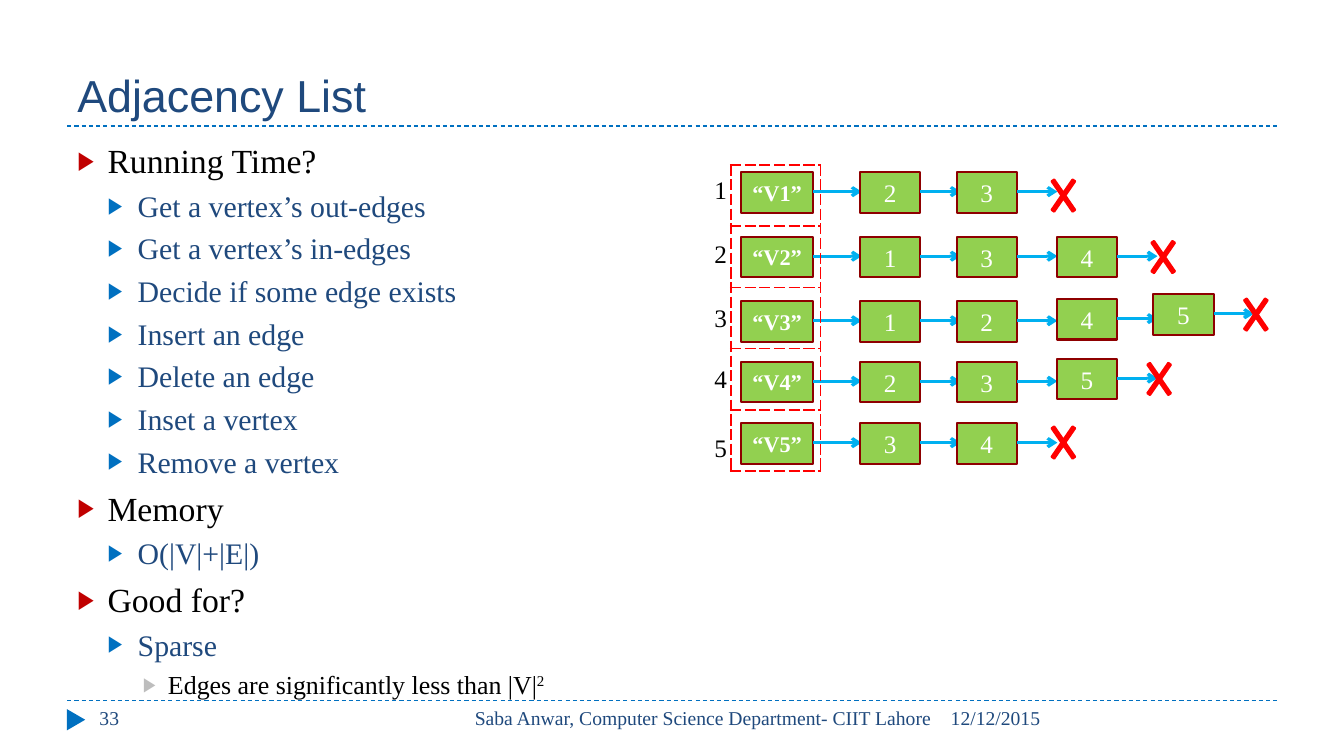
"""Build the adjacency list slide: an outline beside linked chains of vertices."""
from lxml import etree
from pptx import Presentation
from pptx.dml.color import RGBColor
from pptx.enum.dml import MSO_LINE
from pptx.enum.shapes import MSO_CONNECTOR, MSO_SHAPE
from pptx.enum.text import MSO_ANCHOR, MSO_AUTO_SIZE, PP_ALIGN
from pptx.oxml.ns import qn
from pptx.util import Pt

NAVY = RGBColor(0x1F, 0x49, 0x7D)
BLUE = RGBColor(0x00, 0x70, 0xC0)
SKY = RGBColor(0x00, 0xB0, 0xF0)
GREEN = RGBColor(0x92, 0xD0, 0x50)
MAROON = RGBColor(0x8E, 0x00, 0x00)
RED = RGBColor(0xFF, 0x00, 0x00)
CRIMSON = RGBColor(0xC0, 0x00, 0x00)
GRAY = RGBColor(0xBD, 0xBD, 0xBD)
BLACK = RGBColor(0x00, 0x00, 0x00)
WHITE = RGBColor(0xFF, 0xFF, 0xFF)
SERIF, SANS = "Times New Roman", "Arial"
LEFT, CENTER, RIGHT = PP_ALIGN.LEFT, PP_ALIGN.CENTER, PP_ALIGN.RIGHT
TOP, MIDDLE, BOTTOM = MSO_ANCHOR.TOP, MSO_ANCHOR.MIDDLE, MSO_ANCHOR.BOTTOM
RECTANGLE, TRIANGLE = MSO_SHAPE.RECTANGLE, MSO_SHAPE.ISOSCELES_TRIANGLE
MULTIPLY, STRAIGHT, DASH = MSO_SHAPE.MATH_MULTIPLY, MSO_CONNECTOR.STRAIGHT, MSO_LINE.DASH

TITLE = "Adjacency List"
OUTLINE = [
    (0, "Running Time?"),
    (1, "Get a vertex’s out-edges"),
    (1, "Get a vertex’s in-edges"),
    (1, "Decide if some edge exists"),
    (1, "Insert an edge"),
    (1, "Delete an edge"),
    (1, "Inset a vertex"),
    (1, "Remove a vertex"),
    (0, "Memory"),
    (1, "O(|V|+|E|)"),
    (0, "Good for?"),
    (1, "Sparse"),
    (2, "Edges are significantly less than |V|"),
]
EXPONENT = "2"
LEVELS = [
    {"size": 24.1, "color": BLACK, "bullet": CRIMSON, "margin": 21.6, "indent": -21.6, "before": 6},
    {"size": 21.3, "color": NAVY, "bullet": BLUE, "margin": 43.2, "indent": -21.6, "before": 4.9},
    {"size": 18.5, "color": BLACK, "bullet": GRAY, "margin": 64.8, "indent": -18, "before": 4.9},
]
FOOTERS = [
    ("33", 64, 208, LEFT),
    ("Saba Anwar, Computer Science Department- CIIT Lahore", 304.5, 368, RIGHT),
    ("12/12/2015", 672, 240, LEFT),
]
CHAINS = [
    {"top": 123.1, "label": 118.1, "nodes": [("2", 0), ("3", 0)], "cross": (745.2, 118.8)},
    {"top": 169.2, "label": 164.2, "nodes": [("1", 0), ("3", 0), ("4", 0)], "cross": (816.5, 162.7)},
    {"top": 215.3, "label": 210.2, "nodes": [("1", 0), ("2", 0), ("4", -1.5), ("5", -5)],
     "cross": (882.7, 203.8)},
    {"top": 258.5, "label": 253.4, "nodes": [("2", 0), ("3", 0), ("5", -2.2)], "cross": (813.6, 249.8)},
    {"top": 302.4, "label": 302.4, "nodes": [("3", 0), ("4", 0)], "cross": (745.2, 295.2)},
]
HEAD_LEFT, HEAD_WIDTH, HEAD_ARROW = 529.2, 51.8, 34.5
NODE_LEFTS, NODE_WIDTH, NODE_ARROW = [614.2, 683.3, 754.8, 823.7], 43.2, 28.8
BOX_HEIGHT, ARROW_DROP = 28.8, 13.8
FRAME = (522, 118.1, 64.1, 218.2)


def points(*lengths):
    return [Pt(length) for length in lengths]


def style_font(font, **values):
    color = values.pop("color")
    for name, value in values.items():
        setattr(font, name, value)
    font.color.rgb = color


def write(shape, text, size, color, align, anchor, name=SERIF, bold=False, wrap=True):
    frame = shape.text_frame
    frame.word_wrap, frame.vertical_anchor = wrap, anchor
    paragraph = frame.paragraphs[0]
    paragraph.text, paragraph.alignment = text, align
    style_font(paragraph.font, name=name, size=Pt(size), bold=bold, color=color)


def place(shape, *box):
    for side, value in zip(("left", "top", "width", "height"), points(*box)):
        setattr(shape, side, value)


def add_line(slide, start, end, color, width):
    line = slide.shapes.add_connector(STRAIGHT, *points(*start, *end))
    line.line.color.rgb, line.line.width = color, Pt(width)
    etree.SubElement(line._element.spPr, qn("a:effectLst"))
    return line


def add_figure(slide, kind, box, fill, outline=None):
    figure = slide.shapes.add_shape(kind, *points(*box))
    figure.shadow.inherit = False
    figure.fill.solid()
    figure.fill.fore_color.rgb = fill
    if outline is None:
        figure.line.fill.background()
    else:
        figure.line.color.rgb, figure.line.width = outline, Pt(1.5)
    return figure


def add_text(slide, text, box, size, color, align, anchor):
    write(slide.shapes.add_textbox(*points(*box)), text, size, color, align, anchor)


def add_linked_box(slide, text, left, top, width, arrow, size, bold):
    box = add_figure(slide, RECTANGLE, (left, top, width, BOX_HEIGHT), GREEN, MAROON)
    write(box, text, size, WHITE, CENTER, MIDDLE, bold=bold, wrap=False)
    right, height = left + width, top + ARROW_DROP
    link = add_line(slide, (right, height), (right + arrow, height), SKY, 2.25)
    etree.SubElement(link.line._get_or_add_ln(), qn("a:tailEnd"), type="arrow")


def fill_outline(body):
    frame = body.text_frame
    frame.word_wrap, frame.vertical_anchor = True, TOP
    frame.auto_size = MSO_AUTO_SIZE.NONE
    for index, (level, text) in enumerate(OUTLINE):
        look = LEVELS[level]
        paragraph = frame.paragraphs[0] if index == 0 else frame.add_paragraph()
        paragraph.text, paragraph.level = text, level
        properties = paragraph._p.get_or_add_pPr()
        for name, key in (("marL", "margin"), ("indent", "indent")):
            properties.set(name, str(Pt(look[key])))
        bullet_color = etree.SubElement(properties, qn("a:buClr"))
        etree.SubElement(bullet_color, qn("a:srgbClr"), val=str(look["bullet"]))
        etree.SubElement(properties, qn("a:buSzPct"), val="76000")
        etree.SubElement(properties, qn("a:buFont"), typeface=SANS)
        etree.SubElement(properties, qn("a:buChar"), char="▶")
        paragraph.space_before = Pt(look["before"] if index else 0)
        paragraph.alignment = LEFT
        style_font(paragraph.font, name=SERIF, size=Pt(look["size"]), color=look["color"])
    exponent = paragraph.add_run()
    exponent.text = EXPONENT
    exponent._r.get_or_add_rPr().set("baseline", "30000")


def add_frame(slide):
    table = slide.shapes.add_table(len(CHAINS), 1, *points(*FRAME)).table
    table.first_row = table.horz_banding = False
    for row in table.rows:
        cell = row.cells[0]
        properties = cell._tc.get_or_add_tcPr()
        for side in ("lnL", "lnR", "lnT", "lnB"):
            border = etree.SubElement(properties, qn("a:" + side), w=str(Pt(1.5)))
            paint = etree.SubElement(border, qn("a:solidFill"))
            etree.SubElement(paint, qn("a:srgbClr"), val=str(RED))
            etree.SubElement(border, qn("a:prstDash"), val="sysDash")
        cell.fill.background()


def main():
    presentation = Presentation()
    presentation.slide_width, presentation.slide_height = points(960, 540)
    slide = presentation.slides.add_slide(presentation.slide_layouts[1])
    title, body = slide.placeholders
    place(title, 48, 12.2, 864, 78.3)
    write(title, TITLE, 32, NAVY, LEFT, BOTTOM, name=SANS)
    place(body, 48, 96.5, 864, 389)
    fill_outline(body)

    for height in (90, 500.4):
        add_line(slide, (48, height), (912, height), BLUE, 0.75).line.dash_style = DASH
    marker = add_figure(slide, TRIANGLE, (46.8, 507.6, 15.1, 13), BLUE)
    marker.rotation = 90
    for text, left, width, align in FOOTERS:
        add_text(slide, text, (left, 500.4, width, 28.8), 14, NAVY, align, TOP)

    for number, chain in enumerate(CHAINS, 1):
        top = chain["top"]
        add_linked_box(slide, f"“V{number}”", HEAD_LEFT, top, HEAD_WIDTH, HEAD_ARROW, 16, True)
        for left, (text, shift) in zip(NODE_LEFTS, chain["nodes"]):
            add_linked_box(slide, text, left, top + shift, NODE_WIDTH, NODE_ARROW, 18, False)
        cross = add_figure(slide, MULTIPLY, (*chain["cross"], 28.8, 41.8), RED, RED)
        cross.adjustments[0] = 0.08
        add_text(slide, str(number), (493.2, chain["label"], 43.2, 33.8), 18, BLACK, CENTER, MIDDLE)
    add_frame(slide)
    presentation.save("out.pptx")


if __name__ == "__main__":
    main()
